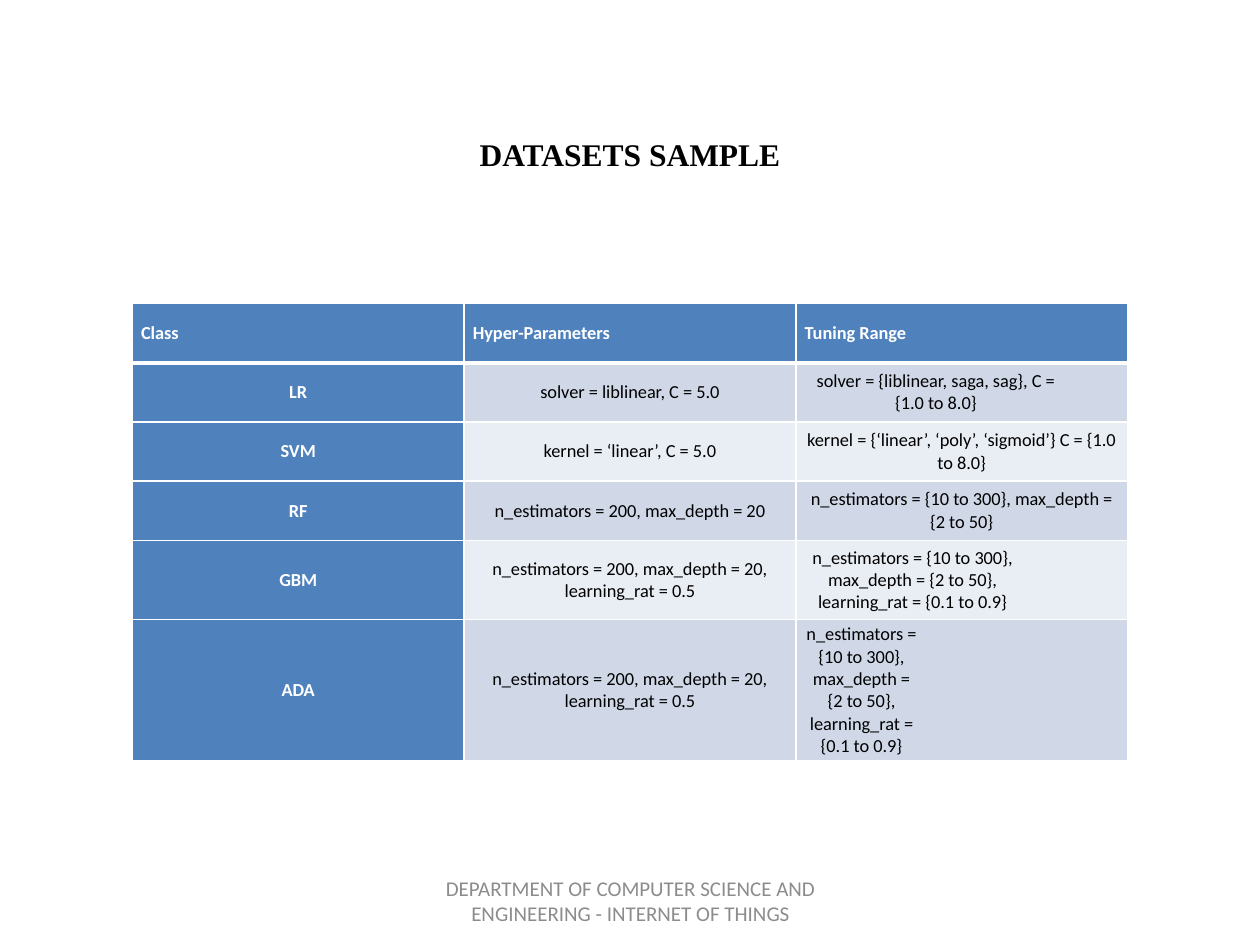
from lxml.etree import SubElement
from pptx import Presentation
from pptx.dml.color import RGBColor
from pptx.enum.text import MSO_ANCHOR as Anchor, PP_ALIGN as Align
from pptx.oxml.ns import qn
from pptx.util import Inches, Pt

COLORS = {
    "black": "000000",
    "white": "FFFFFF",
    "gray": "8C8C8C",
    "blue": "4F81BD",
    "dark_band": "D0D8E8",
    "light_band": "E9EDF4",
}
HEADINGS = ["Class", "Hyper-Parameters", "Tuning Range"]
BOOSTING = "n_estimators = 200, max_depth = 20, learning_rat = 0.5"
BOOSTING_RANGE = "n_estimators = {10 to 300}, max_depth = {2 to 50}, learning_rat = {0.1 to 0.9}"
MODELS = [
    ["LR", "solver = liblinear, C = 5.0", "solver = {liblinear, saga, sag}, C = {1.0 to 8.0}"],
    ["SVM", "kernel = ‘linear’, C = 5.0", "kernel = {‘linear’, ‘poly’, ‘sigmoid’} C = {1.0 to 8.0}"],
    ["RF", "n_estimators = 200, max_depth = 20", "n_estimators = {10 to 300}, max_depth = {2 to 50}"],
    ["GBM", BOOSTING, BOOSTING_RANGE],
    ["ADA", BOOSTING, BOOSTING_RANGE],
]
ROW_HEIGHTS = [0.47, 0.47, 0.47, 0.47, 0.63, 1.12]
RANGE_INDENTS = {"LR": 0.41, "GBM": 0.78, "ADA": 1.59}


def write(frame, text, size, color, font="Calibri", bold=False, align=Align.CENTER):
    frame.text = text
    para = frame.paragraphs[0]
    para.alignment = align
    para.font.name = font
    para.font.size = Pt(size)
    para.font.bold = bold
    para.font.color.rgb = RGBColor.from_string(COLORS[color])
    return para


def place(shape, left, top, width, height):
    shape.left, shape.top = Inches(left), Inches(top)
    shape.width, shape.height = Inches(width), Inches(height)


def add_title(page):
    title = page.shapes.title
    place(title, 0.5, 0.6, 9, 1.25)
    title.text_frame.vertical_anchor = Anchor.MIDDLE
    write(title.text_frame, "DATASETS SAMPLE", 18, "black", "Times New Roman", True)


def add_footer(page):
    box = page.shapes.add_textbox(Inches(3.42), Inches(6.95), Inches(3.17), Inches(0.4))
    box.text_frame.word_wrap = True
    box.text_frame.vertical_anchor = Anchor.MIDDLE
    write(box.text_frame, "DEPARTMENT OF COMPUTER SCIENCE AND ENGINEERING - INTERNET OF THINGS", 12, "gray")


def set_borders(cell, top, bottom):
    properties = cell._tc.get_or_add_tcPr()
    for side, width in {"L": 1, "R": 1, "T": top, "B": bottom}.items():
        line = SubElement(properties, qn(f"a:ln{side}"), w=str(Pt(width)))
        fill = SubElement(line, qn("a:solidFill"))
        SubElement(fill, qn("a:srgbClr"), val=COLORS["white"])


def fill_cell(cell, text, row, column):
    is_heading = row == 0 or column == 0
    band = "dark_band" if row % 2 else "light_band"
    set_borders(cell, 3 if row == 1 else 1, 3 if row == 0 else 1)
    cell.fill.solid()
    cell.fill.fore_color.rgb = RGBColor.from_string(COLORS["blue" if is_heading else band])
    cell.vertical_anchor = Anchor.MIDDLE
    cell.margin_left = cell.margin_right = Inches(0.07)
    cell.margin_top = cell.margin_bottom = Inches(0.03)
    para = write(
        cell.text_frame, text, 10.5, "white" if is_heading else "black",
        bold=is_heading, align=Align.CENTER if row else Align.LEFT,
    )
    para.space_before = Pt(24)
    return para


def add_parameter_table(page):
    rows = [HEADINGS] + MODELS
    frame = page.shapes.add_table(
        len(rows), len(HEADINGS), Inches(1.05), Inches(2.41), Inches(7.9), Inches(sum(ROW_HEIGHTS))
    )
    table = frame.table
    for row, (texts, height) in enumerate(zip(rows, ROW_HEIGHTS)):
        table.rows[row].height = Inches(height)
        for column, text in enumerate(texts):
            para = fill_cell(table.cell(row, column), text, row, column)
        indent = RANGE_INDENTS.get(texts[0], 0)
        if indent:
            para._p.get_or_add_pPr().set("marR", str(Inches(indent)))


def main():
    deck = Presentation()
    deck.slide_width, deck.slide_height = Inches(10), Inches(7.5)
    page = deck.slides.add_slide(deck.slide_layouts[5])
    add_title(page)
    add_footer(page)
    add_parameter_table(page)
    deck.save("out.pptx")


if __name__ == "__main__":
    main()
